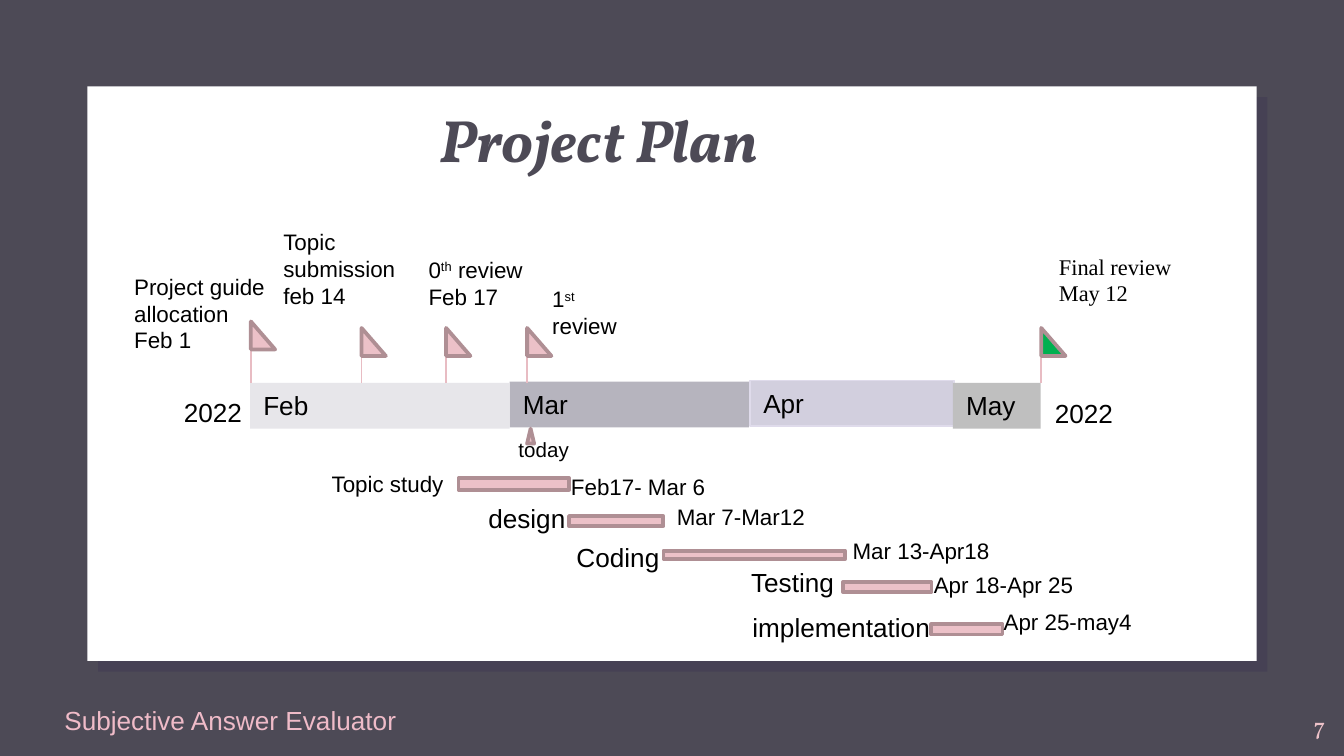
from typing import NamedTuple, Optional

from lxml.etree import SubElement
from pptx import Presentation
from pptx.dml.color import RGBColor
from pptx.enum.shapes import MSO_CONNECTOR as Connector, MSO_SHAPE as Preset
from pptx.enum.text import MSO_ANCHOR as Anchor, PP_ALIGN as Align
from pptx.oxml.ns import qn
from pptx.util import Pt

INK, PINK, ROSE, POLE = "4D4A56", "ECC1C8", "AF8F94", "E8BCC3"


class Box(NamedTuple):
    left: float
    top: float
    width: float
    height: float


class Month(NamedTuple):
    name: str
    box: Box
    fill: str
    border: Optional[str] = None


class Milestone(NamedTuple):
    label: str
    label_box: Box
    flag_left: float
    flag_top: float = 175.7
    fill: str = PINK
    font: str = "Arial"
    wrap: bool = True


class Task(NamedTuple):
    name: str
    name_box: Box
    bar: Box
    dates: str
    dates_box: Box
    size: float = 14
    wrap: bool = True


MONTHS = [
    Month("Apr", Box(401.8, 203.8, 109.4, 24.5), "D2CFDE", "DFDBEB"),
    Month("May", Box(510.5, 205.2, 47, 24.5), "BFBFBF"),
    Month("Mar", Box(273, 204.5, 128.3, 24.5), "B6B4BE"),
    Month("Feb", Box(134, 205.2, 139, 24.5), "E7E6EA"),
]

MILESTONES = [
    Milestone("Project guide allocation\nFeb 1", Box(64.8, 142.6, 95.8, 51), 134.4, 172.2),
    Milestone("Topic submission\nfeb 14", Box(144.7, 118.8, 77.8, 51), 193.7),
    Milestone("0^th^ review\nFeb 17", Box(222.5, 133.5, 66.2, 36), 239, wrap=False),
    Milestone("1^st^ review", Box(288.7, 149.5, 61.2, 36), 282.4),
    Milestone("Final review\nMay 12", Box(560.2, 131.8, 74.9, 51), 557.8,
              fill="00B050", font="Times New Roman"),
]

TASKS = [
    Task("Topic study", Box(170.6, 248.4, 76.3, 21.6), Box(245.7, 256.2, 59.2, 6.2),
         "Feb17- Mar 6", Box(298.8, 249.8, 102.2, 21.6), 12, False),
    Task("design", Box(254.5, 265.7, 61.2, 24.5), Box(304.8, 276.5, 50.6, 5.5),
         "Mar 7-Mar12", Box(355.5, 266.2, 97.2, 21.6)),
    Task("Coding", Box(301.7, 286.6, 64.1, 24.5), Box(355.5, 295, 97.4, 4.5),
         "Mar 13-Apr18", Box(449.7, 284.4, 101.5, 21.6)),
    Task("Testing", Box(395.3, 299.8, 64.8, 24.5), Box(451.6, 311.8, 47.5, 5.4),
         "Apr 18-Apr 25", Box(493.2, 302.6, 100.8, 21.6)),
    Task("implementation", Box(396, 324.2, 131.8, 24.5), Box(498.8, 334.5, 38.3, 5.5),
         "Apr 25-may4", Box(530.6, 322.1, 105.8, 21.6)),
]


def rgb(value: str) -> RGBColor:
    return RGBColor.from_string(value)


def points(box: Box) -> list:
    return [Pt(length) for length in box]


def write(target, text: str, *, size: float = 14, font: str = "Arial",
          color: str = "000000", bold: bool = False, italic: bool = False,
          align=Align.LEFT, anchor=Anchor.TOP, wrap: bool = True) -> None:
    frame = target.text_frame
    frame.word_wrap = wrap
    frame.vertical_anchor = anchor
    frame.margin_left = frame.margin_right = Pt(7.2)
    frame.margin_top = frame.margin_bottom = Pt(3.6)
    for index, line in enumerate(text.split("\n")):
        paragraph = frame.add_paragraph() if index else frame.paragraphs[0]
        paragraph.alignment = align
        for part, piece in enumerate(line.split("^")):
            run = paragraph.add_run()
            run.text = piece
            run.font.size, run.font.name = Pt(size), font
            run.font.bold, run.font.italic = bold, italic
            run.font.color.rgb = rgb(color)
            if part % 2:
                run.font._element.set("baseline", "30000")


def label(slide, box: Box, text: str, **style) -> None:
    write(slide.shapes.add_textbox(*points(box)), text, **style)


def block(slide, preset, box: Box, fill: str,
          border: Optional[str] = None, weight: float = 2):
    shape = slide.shapes.add_shape(preset, *points(box))
    shape.shadow.inherit = False
    shape.fill.solid()
    shape.fill.fore_color.rgb = rgb(fill)
    if border:
        shape.line.color.rgb = rgb(border)
        shape.line.width = Pt(weight)
    else:
        shape.line.fill.background()
    return shape


def draw_panel(slide) -> None:
    panel = block(slide, Preset.RECTANGLE, Box(46.8, 46.3, 626.4, 307.8), "FFFFFF")
    effects = panel._element.spPr.find(qn("a:effectLst"))
    shadow = SubElement(effects, qn("a:outerShdw"), dist=str(Pt(8.2)),
                        dir="2700000", algn="bl", rotWithShape="0")
    tint = SubElement(shadow, qn("a:srgbClr"), val="20124D")
    SubElement(tint, qn("a:alpha"), val="15000")
    slide.shapes.title._element.addprevious(panel._element)


def draw_month(slide, month: Month) -> None:
    shape = block(slide, Preset.RECTANGLE, month.box, month.fill, month.border, 0.75)
    write(shape, month.name)


def draw_milestone(slide, milestone: Milestone) -> None:
    left = milestone.flag_left
    pole = slide.shapes.add_connector(
        Connector.STRAIGHT, Pt(left), Pt(175.7), Pt(left), Pt(205.2))
    pole.line.color.rgb = rgb(POLE)
    pole.line.width = Pt(0.75)
    SubElement(pole._element.spPr, qn("a:effectLst"))
    block(slide, Preset.RIGHT_TRIANGLE, Box(left, milestone.flag_top, 13, 15),
          milestone.fill, ROSE)
    label(slide, milestone.label_box, milestone.label, size=12,
          font=milestone.font, wrap=milestone.wrap)


def draw_task(slide, task: Task) -> None:
    block(slide, Preset.RECTANGLE, task.bar, PINK, ROSE)
    label(slide, task.name_box, task.name, size=task.size, wrap=task.wrap)
    label(slide, task.dates_box, task.dates, size=12)


def main() -> None:
    deck = Presentation()
    deck.slide_width, deck.slide_height = Pt(720), Pt(405)
    slide = deck.slides.add_slide(deck.slide_layouts[5])
    slide.background.fill.solid()
    slide.background.fill.fore_color.rgb = rgb(INK)

    draw_panel(slide)
    title = slide.shapes.title
    title.left, title.top, title.width, title.height = points(Box(91.4, 32.4, 459.4, 68.4))
    write(title, "Project Plan", size=32, font="Vollkorn", color=INK, bold=True,
          italic=True, align=Align.CENTER, anchor=Anchor.BOTTOM)
    title.text_frame.margin_bottom = Pt(7.2)

    for month in MONTHS:
        draw_month(slide, month)
    for milestone in MILESTONES:
        draw_milestone(slide, milestone)
    block(slide, Preset.ISOSCELES_TRIANGLE, Box(282.4, 229.7, 3.8, 8), PINK, ROSE)
    label(slide, Box(270.7, 230.4, 50.4, 20.9), "today", size=11)
    for task in TASKS:
        draw_task(slide, task)

    label(slide, Box(91.4, 208.8, 50.4, 24.5), "2022")
    label(slide, Box(558, 209.5, 56.2, 24.5), "2022")
    label(slide, Box(27.4, 373.7, 259.2, 24.5), "Subjective Answer Evaluator", color="EFBBC8")
    label(slide, Box(673.9, 377.3, 43.2, 31), "7", size=13, font="Vollkorn",
          color=PINK, align=Align.RIGHT)
    deck.save("out.pptx")


if __name__ == "__main__":
    main()
